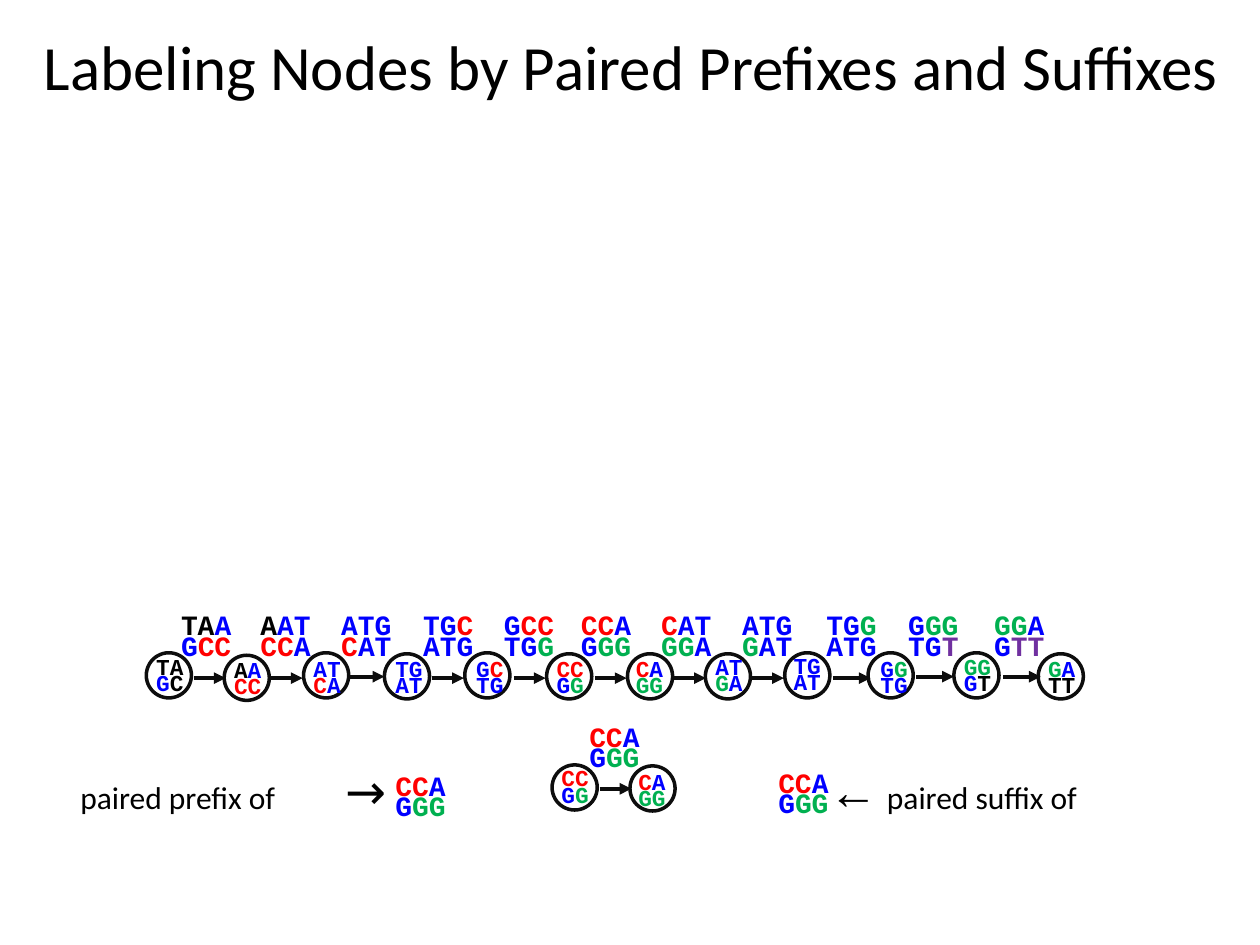
"""Build the slide on labeling graph nodes by paired prefixes and suffixes."""
from itertools import groupby

from lxml import etree
from pptx import Presentation
from pptx import util as u
from pptx.dml.color import RGBColor
from pptx.enum import shapes, text
from pptx.oxml.ns import qn


def tint(code):
    """Turn a hex string into a colour."""
    return RGBColor.from_string(code)


def box(x, y, wide, high, rows, space=1.0, wrap=True, bold=False):
    """Add a text box whose rows hold (words, size, font, colour) runs."""
    frame = slide.shapes.add_textbox(u.Cm(x), u.Cm(y), u.Cm(wide), u.Cm(high)).text_frame
    frame.word_wrap = wrap
    frame.auto_size = text.MSO_AUTO_SIZE.SHAPE_TO_FIT_TEXT
    for i, row in enumerate(rows):
        para = frame.add_paragraph() if i else frame.paragraphs[0]
        para.line_spacing = space
        for words, size, font, code in row:
            run = para.add_run()
            run.text = words
            run.font.size = u.Pt(size)
            run.font.name = font
            run.font.bold = bold
            run.font.color.rgb = tint(code)
    return frame.paragraphs[0]


BLACK, INK = "000000", "0D0D0D"
hues = {"k": BLACK, "b": "0000FF", "r": "FF0000", "g": "00B050", "p": "7030A0"}

# circle left and top, label left and top, letters, hues
nodes = [
    (2.95, 13.16, 2.9, 13.23, "TA GC", "kk bk"),
    (4.52, 13.21, 4.47, 13.28, "AA CC", "kb rr"),
    (6.12, 13.16, 6.07, 13.26, "AT CA", "bb rb"),
    (7.75, 13.18, 7.72, 13.26, "TG AT", "bb bb"),
    (9.37, 13.16, 9.35, 13.26, "GC TG", "br bb"),
    (11.02, 13.18, 10.97, 13.26, "CC GG", "rr bg"),
    (12.65, 13.18, 12.57, 13.26, "CA GG", "rb gg"),
    (14.22, 13.18, 14.17, 13.23, "AT GA", "bb gb"),
    (15.82, 13.16, 15.75, 13.21, "TG AT", "bb bb"),
    (17.5, 13.16, 17.5, 13.26, "GG TG", "bg bb"),
    (19.23, 13.16, 19.18, 13.23, "GG GT", "gg bk"),
    (20.93, 13.18, 20.88, 13.26, "GA TT", "gb kk"),
    (11.13, 15.42, 11.07, 15.47, "CC GG", "rr bg"),
    (12.7, 15.44, 12.62, 15.54, "CA GG", "rb gg"),
]
edges = [
    (3.4, 12.37, "TAA GCC", "kkb brr"),
    (5, 12.37, "AAT CCA", "kbb rrb"),
    (6.63, 12.37, "ATG CAT", "bbb rbb"),
    (8.28, 12.37, "TGC ATG", "bbr bbb"),
    (9.91, 12.37, "GCC TGG", "brr bbg"),
    (11.46, 12.37, "CCA GGG", "rrb bgg"),
    (13.08, 12.37, "CAT GGA", "rbb ggb"),
    (14.71, 12.37, "ATG GAT", "bbb gbb"),
    (16.41, 12.37, "TGG ATG", "bbg bbb"),
    (18.06, 12.37, "GGG TGT", "bgg bbp"),
    (19.79, 12.37, "GGA GTT", "ggb bpp"),
]
edges += [(x, y, "CCA GGG", "rrb bgg") for x, y in [(11.63, 14.61), (15.44, 15.54), (7.72, 15.6)]]
arrows = [
    (3.91, 13.67, 0.64), (5.46, 13.67, 0.64), (7.04, 13.64, 0.71), (8.71, 13.67, 0.64),
    (10.36, 13.67, 0.64), (11.99, 13.67, 0.64), (13.59, 13.67, 0.64), (15.16, 13.67, 0.64),
    (16.79, 13.67, 0.76), (18.47, 13.64, 0.76), (20.22, 13.64, 0.76), (12.09, 15.9, 0.64),
]

deck = Presentation()
deck.slide_width, deck.slide_height = u.Cm(25.4), u.Cm(19.05)
slide = deck.slides.add_slide(deck.slide_layouts[6])

title = "Labeling Nodes by Paired Prefixes and Suffixes"
head = box(0.03, 0.43, 25.37, 1.8, [[(title, 36, "Calibri", BLACK)]])
head.alignment = text.PP_ALIGN.CENTER

key = box(-0.2, 15.44, 26.04, 1.24, [[
    ("\tpaired prefix of\t", 18, "Calibri", BLACK),
    ("→", 28, "Roboto Slab", BLACK),
    ("\t", 18, "Calibri", BLACK),
    ("←", 28, "Times New Roman", BLACK),
    ("\tpaired suffix of", 18, "Calibri", BLACK),
]], 0.8)
tabs = etree.SubElement(key._p.get_or_add_pPr(), qn("a:tabLst"))
for stop in (1.57, 6.91, 16.66, 17.83):
    etree.SubElement(tabs, qn("a:tab"), pos=str(u.Cm(stop)), algn="l")

for x, y, span in arrows:
    line = slide.shapes.add_connector(
        shapes.MSO_CONNECTOR.STRAIGHT, u.Cm(x), u.Cm(y), u.Cm(x + span), u.Cm(y))
    line.line.color.rgb = tint(INK)
    line.line.width = u.Pt(2.25)
    etree.SubElement(line.line._get_or_add_ln(), qn("a:tailEnd"), type="triangle")
    etree.SubElement(line._element.spPr, qn("a:effectLst"))

labels = [(*edge, 16, 1.55, 1.07) for edge in edges]
for x, y, *label in nodes:
    ring = slide.shapes.add_shape(
        shapes.MSO_SHAPE.OVAL, u.Cm(x), u.Cm(y), u.Cm(0.91), u.Cm(0.91))
    ring.shadow.inherit = False
    ring.fill.background()
    ring.line.color.rgb = tint(INK)
    ring.line.width = u.Pt(2)
    labels.append((*label, 13, 1.07, 0.91))

for x, y, bases, marks, size, wide, high in labels:
    rows = []
    for word, mark in zip(bases.split(), marks.split()):
        parts = groupby(zip(word, mark), key=lambda pair: pair[1])
        rows.append([("".join(base for base, _ in part), size, "Courier New", hues[hue])
                     for hue, part in parts])
    box(x, y, wide, high, rows, 0.6, False, True)

deck.save("out.pptx")
